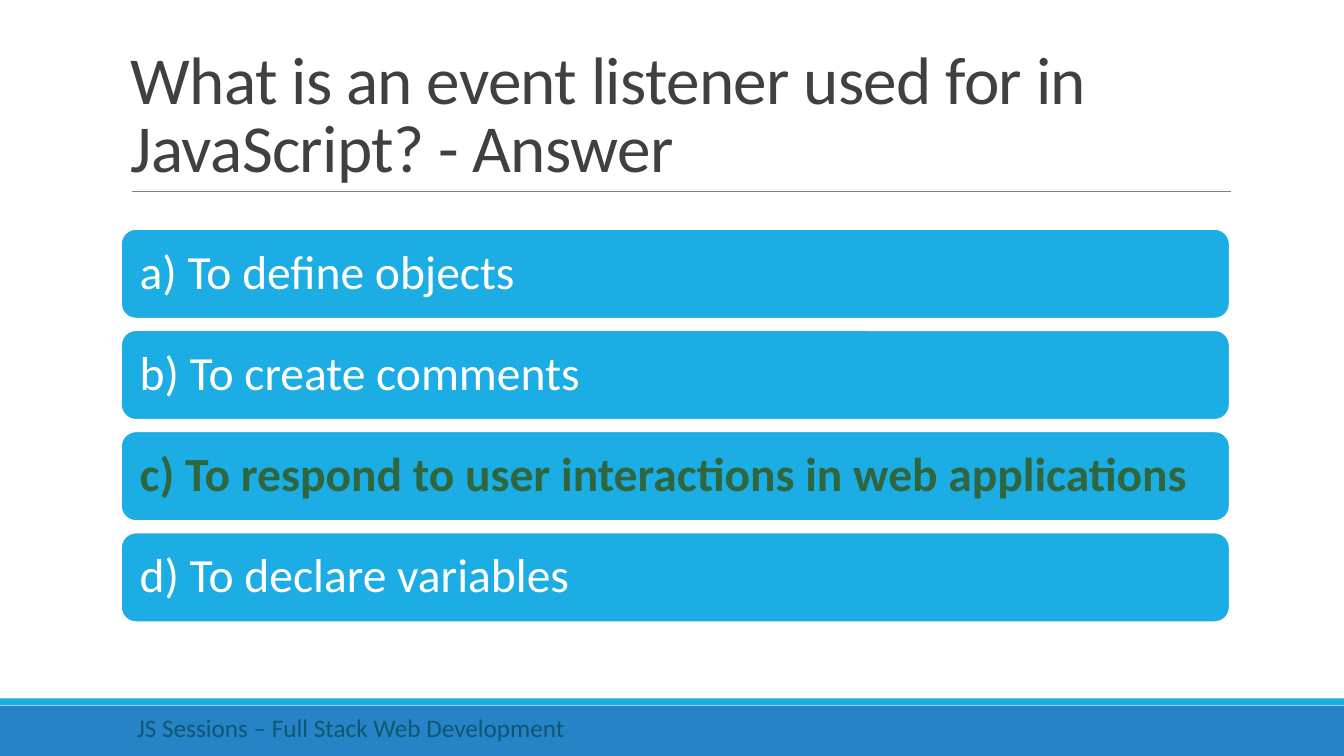
from dataclasses import dataclass

from lxml.etree import SubElement
from pptx import Presentation
from pptx.dml.color import RGBColor
from pptx.enum.shapes import MSO_CONNECTOR, MSO_SHAPE
from pptx.enum.text import MSO_ANCHOR, PP_ALIGN
from pptx.oxml.ns import qn
from pptx.shapes.autoshape import Shape
from pptx.slide import Slide
from pptx.util import Cm, Pt

COLORS = {
    "bar": "2683C6",
    "accent": "1CADE4",
    "rule": "808080",
    "title": "404040",
    "white": "FFFFFF",
    "correct": "2F663E",
    "footer": "0E5772",
}
FONT = "Calibri"
SLIDE_WIDTH, SLIDE_HEIGHT = 33.87, 19.05
LEFT, WIDTH = 3.05, 27.94
ANSWER_TOP, ANSWER_HEIGHT, ANSWER_PITCH = 5.77, 2.26, 2.55


@dataclass
class Box:
    left: float
    top: float
    width: float
    height: float

    def lengths(self) -> tuple[Cm, Cm, Cm, Cm]:
        return Cm(self.left), Cm(self.top), Cm(self.width), Cm(self.height)


@dataclass
class TextStyle:
    size: float
    color: str
    bold: bool = False
    line_spacing: float = 1.0
    anchor: MSO_ANCHOR = MSO_ANCHOR.TOP
    inset_x: float = 0.25
    inset_y: float = 0.13
    tracking: float = 0


@dataclass
class Answer:
    text: str
    correct: bool = False


ANSWERS = [
    Answer("a) To define objects"),
    Answer("b) To create comments"),
    Answer("c) To respond to user interactions in web applications", correct=True),
    Answer("d) To declare variables"),
]


def rgb(name: str) -> RGBColor:
    return RGBColor.from_string(COLORS[name])


def add_block(slide: Slide, kind: MSO_SHAPE, box: Box, fill: str) -> Shape:
    shape = slide.shapes.add_shape(kind, *box.lengths())
    shape.shadow.inherit = False
    shape.fill.solid()
    shape.fill.fore_color.rgb = rgb(fill)
    shape.line.fill.background()
    return shape


def write_text(shape: Shape, text: str, style: TextStyle) -> None:
    frame = shape.text_frame
    frame.word_wrap = True
    frame.vertical_anchor = style.anchor
    frame.margin_left = frame.margin_right = Cm(style.inset_x)
    frame.margin_top = frame.margin_bottom = Cm(style.inset_y)
    paragraph = frame.paragraphs[0]
    paragraph.alignment = PP_ALIGN.LEFT
    paragraph.line_spacing = style.line_spacing
    run = paragraph.add_run()
    run.text = text
    run.font.name = FONT
    run.font.size = Pt(style.size)
    run.font.bold = style.bold
    run.font.color.rgb = rgb(style.color)
    if style.tracking:
        run.font._element.set("spc", str(round(style.tracking * 100)))


def add_rule(slide: Slide, left: float, right: float, top: float) -> None:
    rule = slide.shapes.add_connector(
        MSO_CONNECTOR.STRAIGHT, Cm(left), Cm(top), Cm(right), Cm(top))
    rule.line.color.rgb = rgb("rule")
    rule.line.width = Pt(0.5)
    SubElement(rule._element.spPr, qn("a:effectLst"))


def add_answer(slide: Slide, index: int, answer: Answer) -> None:
    box = Box(LEFT, ANSWER_TOP + index * ANSWER_PITCH, WIDTH, ANSWER_HEIGHT)
    shape = add_block(slide, MSO_SHAPE.ROUNDED_RECTANGLE, box, "accent")
    shape.line.color.rgb = rgb("white")
    shape.line.width = Pt(1.25)
    write_text(shape, answer.text, TextStyle(
        34, "correct" if answer.correct else "white", bold=answer.correct,
        line_spacing=0.9, anchor=MSO_ANCHOR.MIDDLE, inset_x=0.36, inset_y=0.36))


def main() -> None:
    presentation = Presentation()
    presentation.slide_width = Cm(SLIDE_WIDTH)
    presentation.slide_height = Cm(SLIDE_HEIGHT)
    slide = presentation.slides.add_slide(presentation.slide_layouts[6])

    # Footer bars and title rule
    add_block(slide, MSO_SHAPE.RECTANGLE, Box(0, 17.78, SLIDE_WIDTH, 1.27), "bar")
    add_block(slide, MSO_SHAPE.RECTANGLE, Box(0, 17.6, SLIDE_WIDTH, 0.17), "accent")
    add_rule(slide, 3.33, 31.01, 4.83)

    # Title
    title = slide.shapes.add_textbox(*Box(LEFT, 0.79, WIDTH, 4.04).lengths())
    write_text(title, "What is an event listener used for in JavaScript? - Answer",
               TextStyle(48, "title", line_spacing=0.85,
                         anchor=MSO_ANCHOR.BOTTOM, tracking=-0.5))

    # Answers
    for index, answer in enumerate(ANSWERS):
        add_answer(slide, index, answer)

    # Footer text
    footer = slide.shapes.add_textbox(*Box(LEFT, 17.81, 19.76, 1.03).lengths())
    write_text(footer, "JS Sessions – Full Stack Web Development",
               TextStyle(18, "footer", inset_x=0.4))

    presentation.save("out.pptx")


if __name__ == "__main__":
    main()
